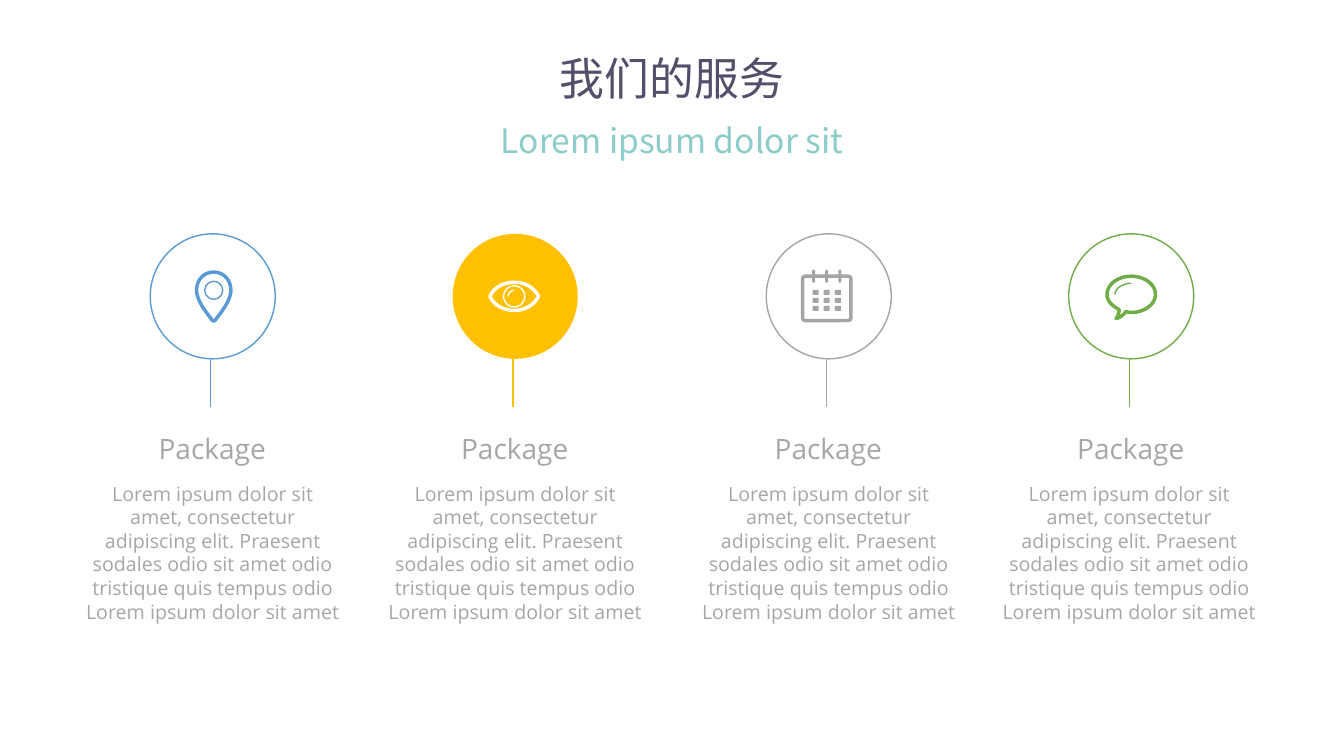
from lxml import etree
from pptx import Presentation
from pptx.dml.color import RGBColor
from pptx.enum.shapes import MSO_CONNECTOR, MSO_SHAPE
from pptx.enum.text import MSO_AUTO_SIZE, PP_ALIGN
from pptx.oxml.ns import qn
from pptx.util import Inches, Pt

COLORS = {
    "title": "524F6A", "subtitle": "8CCCC9", "text": "A6A6A6", "white": "FFFFFF",
    "blue": "5B9BD5", "yellow": "FFC000", "gray": "A5A5A5", "green": "70AD47",
}
color = {name: RGBColor.from_string(value) for name, value in COLORS.items()}
LATIN_FONT, CJK_FONT = "Open Sans", "Noto Sans CJK SC"
LOREM = ("Lorem ipsum dolor sit amet, consectetur adipiscing elit. Praesent sodales odio "
         "sit amet odio tristique quis tempus odio Lorem ipsum dolor sit amet")

# Icon curves in inches from the icon centre: start, then cubic segments, closed or not, width
PIN = [
    ((0, -0.24), [((0.1, -0.24), (0.17, -0.16), (0.17, -0.06)),
                  ((0.17, 0.04), (0.08, 0.15), (0.02, 0.23)),
                  ((0.01, 0.25), (-0.01, 0.25), (-0.02, 0.23)),
                  ((-0.08, 0.15), (-0.17, 0.04), (-0.17, -0.06)),
                  ((-0.17, -0.16), (-0.1, -0.24), (0, -0.24))], True, 2.5),
]
EYE = [
    ((-0.24, 0), [((-0.2, -0.09), (-0.1, -0.14), (0, -0.14)),
                  ((0.1, -0.14), (0.2, -0.09), (0.24, 0)),
                  ((0.2, 0.09), (0.1, 0.14), (0, 0.14)),
                  ((-0.1, 0.14), (-0.2, 0.09), (-0.24, 0))], True, 2.5),
    ((-0.06, 0), [((-0.06, -0.03), (-0.03, -0.06), (0, -0.06))], False, 1),
]
BUBBLE = [
    ((-0.12, 0.13), [((-0.2, 0.09), (-0.24, 0.04), (-0.24, -0.02)),
                     ((-0.24, -0.12), (-0.13, -0.2), (0, -0.2)),
                     ((0.13, -0.2), (0.24, -0.12), (0.24, -0.02)),
                     ((0.24, 0.08), (0.13, 0.16), (0, 0.16)),
                     ((-0.01, 0.16), (-0.03, 0.16), (-0.05, 0.15)),
                     ((-0.07, 0.17), (-0.1, 0.21), (-0.15, 0.22)),
                     ((-0.13, 0.19), (-0.12, 0.16), (-0.12, 0.13))], True, 2.5),
    ((-0.16, -0.02), [((-0.16, -0.08), (-0.08, -0.13), (0, -0.13))], False, 1),
]

# Icon parts: preset, centre offset x and y, width, height, line width (0 means filled)
PIN_RING = [(MSO_SHAPE.OVAL, 0, -0.06, 0.18, 0.18, 1)]
IRIS = [(MSO_SHAPE.OVAL, 0, 0, 0.21, 0.21, 1)]
CALENDAR = [(MSO_SHAPE.ROUNDED_RECTANGLE, 0, 0.02, 0.48, 0.44, 2.5)]
CALENDAR += [(MSO_SHAPE.ROUNDED_RECTANGLE, x, -0.2, 0.03, 0.13, 0) for x in (-0.13, 0, 0.13)]
CALENDAR += [(MSO_SHAPE.RECTANGLE, x, y, 0.06, 0.05, 0)
             for x in (-0.11, 0, 0.11) for y in (-0.04, 0.04, 0.12)]

# Circle centre, icon centre, body left, colour, circle fill, icon colour, curves, parts
SERVICES = [
    (2.11, 2.12, 0.75, "blue", "white", "blue", PIN, PIN_RING),
    (5.11, 5.1, 3.75, "yellow", "yellow", "white", EYE, IRIS),
    (8.22, 8.2, 6.86, "gray", "white", "gray", [], CALENDAR),
    (11.22, 11.22, 9.84, "green", "white", "green", BUBBLE, []),
]
CIRCLE_Y, CIRCLE_SIZE, CURVE_STEPS = 2.94, 1.24, 16

prs = Presentation()
prs.slide_width, prs.slide_height = Inches(13.33), Inches(7.5)
slide = prs.slides.add_slide(prs.slide_layouts[6])
shapes = slide.shapes


def add_label(text, left, top, width, height, size, ink, font, wrap=True):
    label = shapes.add_textbox(Inches(left), Inches(top), Inches(width), Inches(height))
    frame = label.text_frame
    frame.text = text
    frame.word_wrap = wrap
    frame.auto_size = MSO_AUTO_SIZE.SHAPE_TO_FIT_TEXT
    frame.paragraphs[0].alignment = PP_ALIGN.CENTER
    run = frame.paragraphs[0].runs[0]
    run.font.size, run.font.name = Pt(size), font
    run.font.color.rgb = color[ink]
    etree.SubElement(run._r.get_or_add_rPr(), qn("a:ea"), typeface=font)


def paint(shape, fill, line, width):
    shape.shadow.inherit = False
    if fill:
        shape.fill.solid()
        shape.fill.fore_color.rgb = color[fill]
    else:
        shape.fill.background()
    if width:
        shape.line.color.rgb = color[line]
        shape.line.width = Pt(width)
        etree.SubElement(shape.line._get_or_add_ln(), qn("a:round"))
    else:
        shape.line.fill.background()


# Heading
add_label("我们的服务", 5.28, 0.45, 2.77, 0.64, 32, "title", CJK_FONT)
add_label("Lorem ipsum dolor sit", 2.99, 1.14, 7.35, 0.5, 24, "subtitle", CJK_FONT)

# Four services
for center, icon_x, body_left, accent, disc, ink, curves, parts in SERVICES:
    # Stem behind the circle
    stem_x = Inches(center - 0.02)
    stem = shapes.add_connector(MSO_CONNECTOR.STRAIGHT, stem_x, Inches(3.04), stem_x, Inches(4.04))
    stem.line.color.rgb = color[accent]
    stem.line.width = Pt(1)
    etree.SubElement(stem._element.spPr, qn("a:effectLst"))

    circle = shapes.add_shape(
        MSO_SHAPE.OVAL, Inches(center - CIRCLE_SIZE / 2), Inches(CIRCLE_Y - CIRCLE_SIZE / 2),
        Inches(CIRCLE_SIZE), Inches(CIRCLE_SIZE))
    paint(circle, disc, accent, 0 if disc == accent else 1)

    # Icon
    for start, segments, closed, width in curves:
        points, here = [start], start
        for first, second, end in segments:
            for step in range(1, CURVE_STEPS + 1):
                t = step / CURVE_STEPS
                points.append(tuple(
                    (1 - t) ** 3 * a + 3 * (1 - t) ** 2 * t * b + 3 * (1 - t) * t ** 2 * c + t ** 3 * d
                    for a, b, c, d in zip(here, first, second, end)))
            here = end
        points = [(Inches(icon_x + x), Inches(CIRCLE_Y + y)) for x, y in points]
        builder = shapes.build_freeform(*points[0])
        builder.add_line_segments(points[1:], close=closed)
        paint(builder.convert_to_shape(), None, ink, width)
    for preset, x, y, width, height, stroke in parts:
        part = shapes.add_shape(
            preset, Inches(icon_x + x - width / 2), Inches(CIRCLE_Y + y - height / 2),
            Inches(width), Inches(height))
        if preset == MSO_SHAPE.ROUNDED_RECTANGLE:
            part.adjustments[0] = 0.06 if stroke else 0.5
        paint(part, None if stroke else ink, ink, stroke)

    # Texts
    add_label("Package", center - 0.65, 4.23, 1.29, 0.44, 20, "text", LATIN_FONT, wrap=False)
    add_label(LOREM, body_left, 4.73, 2.72, 1.51, 14, "text", LATIN_FONT)

prs.save("out.pptx")
